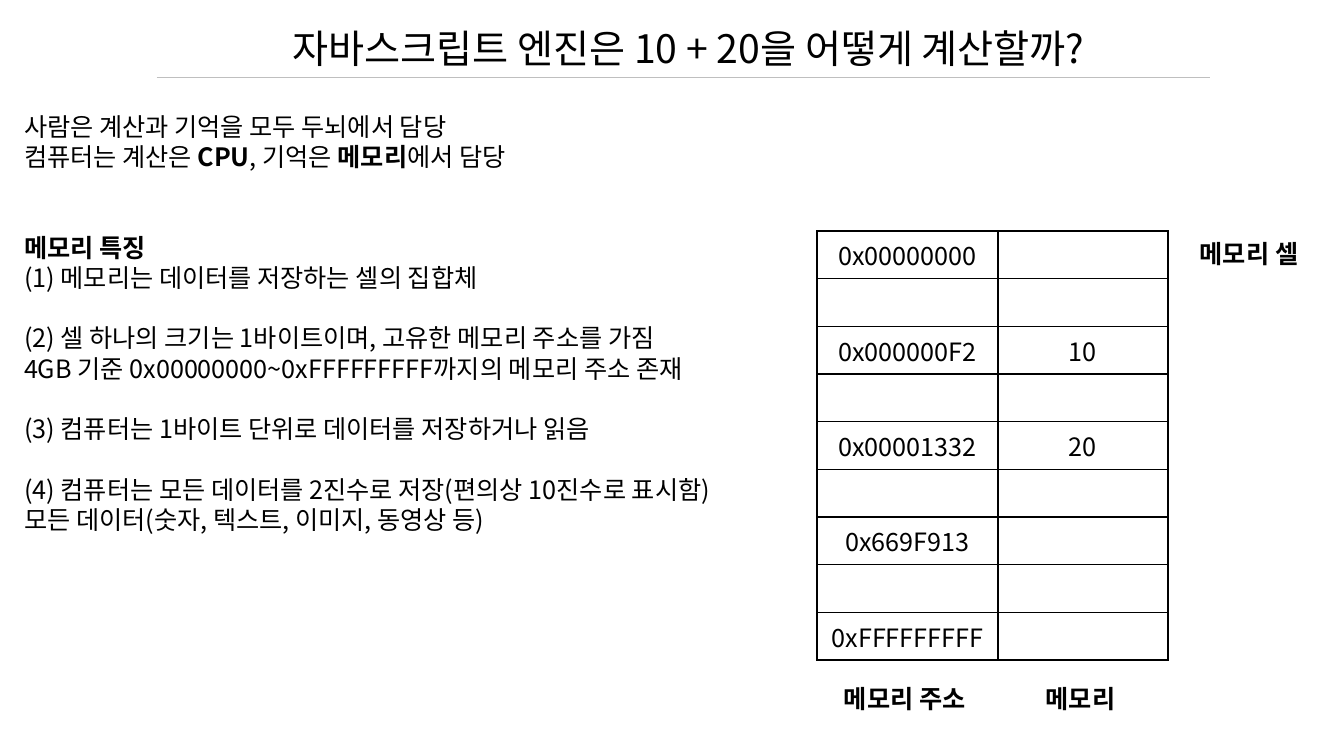
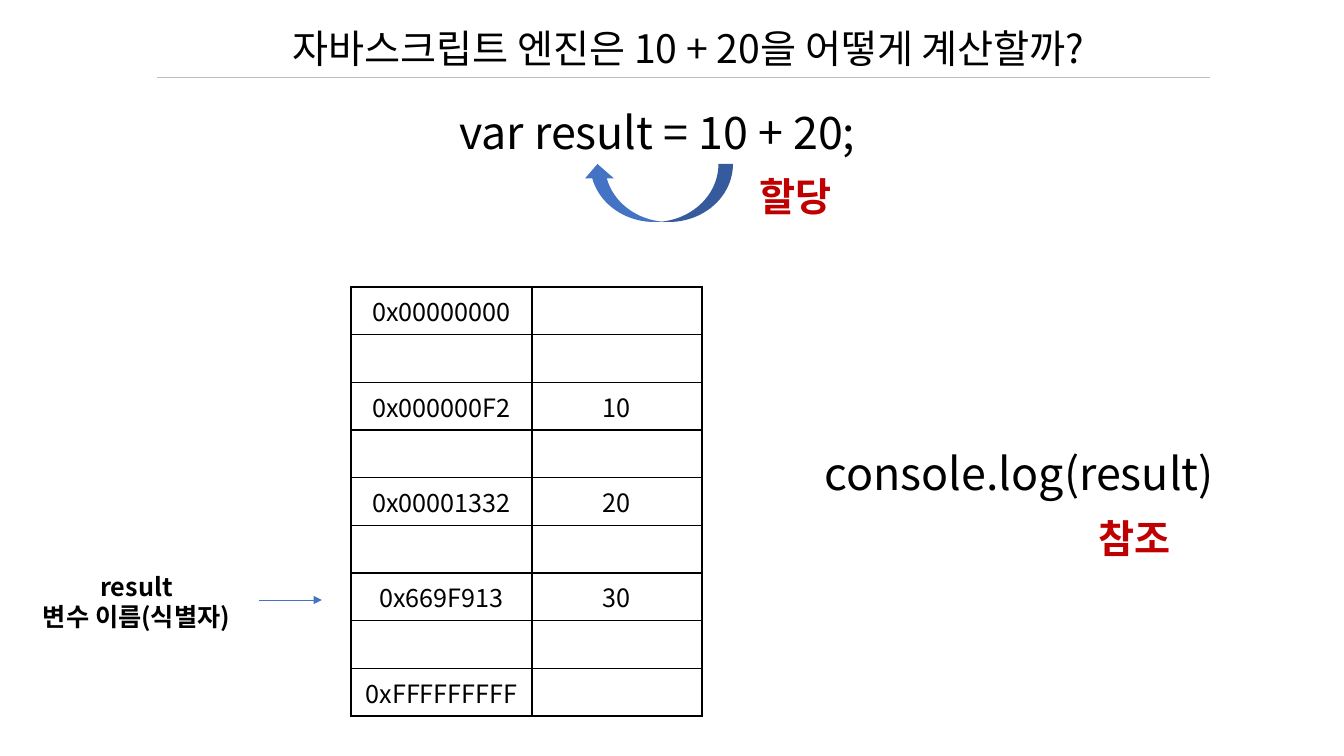
from dataclasses import dataclass

from lxml.etree import SubElement
from pptx import Presentation
from pptx.dml.color import RGBColor
from pptx.enum.shapes import MSO_CONNECTOR as CONNECTOR, MSO_SHAPE as SHAPE
from pptx.enum.text import MSO_ANCHOR as ANCHOR, PP_ALIGN as ALIGN
from pptx.oxml.ns import qn
from pptx.util import Emu, Pt

SCALE = 914400 / 100.8  # EMU per pixel
FONT = "Noto Sans CJK KR"
BLACK, RED, BLUE, GREY = "000000", "C00000", "4472C4", "BFBFBF"
LINE_RATIO = 1.2
TITLE = "자바스크립트 엔진은 10 + 20을 어떻게 계산할까?"
ADDRESSES = ["0x00000000", "0x000000F2", "0x00001332", "0x669F913", "0xFFFFFFFFF"]
COLUMN_WIDTHS = [181, 170]
TABLE_HEIGHT = 429


@dataclass(frozen=True)
class Line:
    """A line of text, its bold parts between asterisks, after some empty lines."""
    text: str
    gap: int = 0


@dataclass(frozen=True)
class Label:
    """A text box and its format."""
    text: str
    x: int
    y: int
    w: int
    h: int
    size: int = 18
    bold: bool = False
    color: str = BLACK
    align: ALIGN = ALIGN.CENTER


BODY = [
    Line("사람은 계산과 기억을 모두 두뇌에서 담당"),
    Line("컴퓨터는 계산은 *CPU*, 기억은 *메모리*에서 담당"),
    Line("*메모리 특징*", gap=2),
    Line("(1) 메모리는 데이터를 저장하는 셀의 집합체"),
    Line("(2) 셀 하나의 크기는 1바이트이며, 고유한 메모리 주소를 가짐", gap=1),
    Line("4GB 기준 0x00000000~0xFFFFFFFFF까지의 메모리 주소 존재"),
    Line("(3) 컴퓨터는 1바이트 단위로 데이터를 저장하거나 읽음", gap=1),
    Line("(4) 컴퓨터는 모든 데이터를 2진수로 저장(편의상 10진수로 표시함)", gap=1),
    Line("모든 데이터(숫자, 텍스트, 이미지, 동영상 등)"),
]

MEMORY_LABELS = [
    Label("메모리 주소", 834, 676, 155, 40, bold=True, align=ALIGN.LEFT),
    Label("메모리", 1003, 676, 155, 40, bold=True),
    Label("메모리 셀", 1173, 231, 152, 40, bold=True),
]

ASSIGNMENT_LABELS = [
    Label("var result = 10 + 20;", 398, 98, 519, 64, size=32),
    Label("할당", 715, 165, 162, 58, size=28, bold=True, color=RED),
    Label("result\n변수 이름(식별자)", 14, 564, 245, 71, bold=True),
    Label("console.log(result)", 760, 439, 519, 64, size=32),
    Label("참조", 1054, 507, 162, 58, size=28, bold=True, color=RED),
]


def px(value: float) -> Emu:
    """Turn pixels into EMU."""
    return Emu(round(value * SCALE))


def box(x: int, y: int, w: int, h: int) -> list[Emu]:
    """Turn a pixel box into EMU."""
    return [px(v) for v in (x, y, w, h)]


def rgb(color: str) -> RGBColor:
    """Turn a hex string into a colour."""
    return RGBColor.from_string(color)


def write(p, text: str, *, size: int = 18, bold: bool = False,
          color: str = BLACK, align=ALIGN.LEFT) -> None:
    """Write text into a paragraph; parts between asterisks are bold."""
    p.alignment = align
    for i, part in enumerate(text.split("*")):
        if not part:
            continue
        r = p.add_run()
        r.text = part
        r.font.size = Pt(size)
        r.font.bold = bold or i % 2 == 1
        r.font.name = FONT
        r.font.color.rgb = rgb(color)
        SubElement(r.font._element, qn("a:ea"), typeface=FONT)


def fill_frame(tf, lines: list[Line], *, size: int = 18, **style) -> None:
    """Write lines into a text frame with even line spacing."""
    tf.word_wrap = True
    tf.vertical_anchor = ANCHOR.TOP
    tf.margin_left = tf.margin_right = px(10)
    tf.margin_top, tf.margin_bottom = px(7), px(5)
    for i, line in enumerate(lines):
        p = tf.add_paragraph() if i else tf.paragraphs[0]
        p.line_spacing = Pt(size * LINE_RATIO)
        p.space_before = Pt(line.gap * size * LINE_RATIO)
        write(p, line.text, size=size, **style)


def add_label(s, label: Label) -> None:
    """Add a text box."""
    sp = s.shapes.add_textbox(*box(label.x, label.y, label.w, label.h))
    fill_frame(sp.text_frame, [Line(t) for t in label.text.split("\n")],
               size=label.size, bold=label.bold, color=label.color, align=label.align)


def add_line(s, x1: int, x2: int, y: int, color: str, arrow: bool = False) -> None:
    """Add a thin horizontal line, with an arrowhead on request."""
    sp = s.shapes.add_connector(CONNECTOR.STRAIGHT, px(x1), px(y), px(x2), px(y))
    sp.line.color.rgb = rgb(color)
    sp.line.width = Pt(0.5)
    if arrow:
        SubElement(sp.line._get_or_add_ln(), qn("a:tailEnd"), type="triangle")
    SubElement(sp._element.spPr, qn("a:effectLst"))


def add_curved_arrow(s, x: int, y: int, w: int, h: int) -> None:
    """Add the arrow that curves from the value back to the variable."""
    sp = s.shapes.add_shape(SHAPE.CURVED_UP_ARROW, *box(x, y, w, h))
    sp.shadow.inherit = False
    sp.fill.solid()
    sp.fill.fore_color.rgb = rgb(BLUE)
    sp.line.fill.background()
    sp._element.spPr.find(qn("a:xfrm")).set("flipH", "1")


def set_borders(cell) -> None:
    """Give a cell thin black borders and no fill."""
    tc_pr = cell._tc.get_or_add_tcPr()
    for side in ("lnL", "lnR", "lnT", "lnB"):
        ln = SubElement(tc_pr, qn(f"a:{side}"), w=str(Pt(1)))
        SubElement(SubElement(ln, qn("a:solidFill")), qn("a:srgbClr"), val=BLACK)
    cell.fill.background()


def add_memory(s, x: int, y: int, values: list[str]) -> None:
    """Add the memory table: an address and its value on every other row."""
    rows = 2 * len(ADDRESSES) - 1
    table = s.shapes.add_table(rows, len(COLUMN_WIDTHS),
                               *box(x, y, sum(COLUMN_WIDTHS), TABLE_HEIGHT)).table
    table.first_row = table.horz_banding = False
    for column, width in zip(table.columns, COLUMN_WIDTHS):
        column.width = px(width)
    for cell in table.iter_cells():
        cell.vertical_anchor = ANCHOR.MIDDLE
        set_borders(cell)
    for i, pair in enumerate(zip(ADDRESSES, values)):
        for j, text in enumerate(pair):
            write(table.cell(2 * i, j).text_frame.paragraphs[0], text, align=ALIGN.CENTER)


def add_slide(prs):
    """Add a slide with the shared title and the rule under it."""
    s = prs.slides.add_slide(prs.slide_layouts[5])
    title = s.shapes.title
    title.left, title.top, title.width, title.height = box(168, 17, 1041, 57)
    fill_frame(title.text_frame, [Line(TITLE)], size=28, align=ALIGN.CENTER)
    add_line(s, 157, 1210, 77, GREY)
    return s


def build_memory_slide(prs) -> None:
    """Build the slide on what memory is."""
    s = add_slide(prs)
    sp = s.shapes.add_textbox(*box(14, 104, 790, 440))
    fill_frame(sp.text_frame, BODY)
    add_memory(s, 817, 231, ["", "10", "20", "", ""])
    for label in MEMORY_LABELS:
        add_label(s, label)


def build_assignment_slide(prs) -> None:
    """Build the slide on assignment and reference."""
    s = add_slide(prs)
    add_curved_arrow(s, 583, 164, 150, 58)
    add_memory(s, 351, 287, ["", "10", "20", "30", ""])
    for label in ASSIGNMENT_LABELS:
        add_label(s, label)
    add_line(s, 259, 322, 600, BLUE, arrow=True)


def main() -> None:
    """Build and save the presentation."""
    prs = Presentation()
    prs.slide_width, prs.slide_height = px(1344), px(756)
    build_memory_slide(prs)
    build_assignment_slide(prs)
    prs.save("out.pptx")


main()
